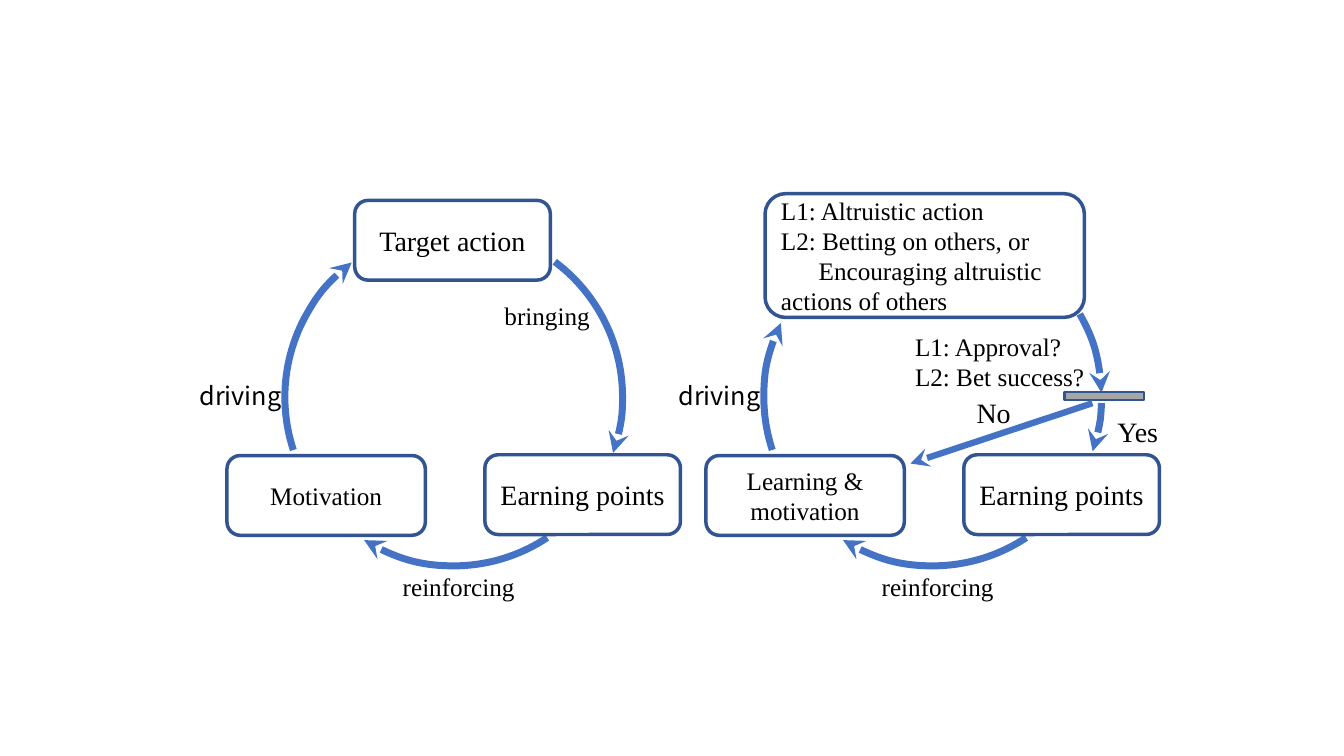
from dataclasses import dataclass

from lxml import etree
from pptx import Presentation
from pptx import util as u
from pptx.dml.color import RGBColor
from pptx.enum import shapes, text
from pptx.oxml.ns import qn

COLORS = {"arrow": "4472C4", "outline": "325491", "gate": "A6A6A6",
          "paper": "FFFFFF", "ink": "000000"}
SERIF = "Times New Roman"
SANS = "Noto Sans CJK JP"
CYCLE_STEP = 12.07  # distance between the two cycles, cm
RING_LEFT, RING_TOP, RING_SIZE = 7.18, 5.75, 8.51
CENTER, LEFT = text.PP_ALIGN.CENTER, text.PP_ALIGN.LEFT


@dataclass
class Stage:
    lines: list[str]
    left: float
    top: float
    width: float = 4.93
    height: float = 2.01
    size: int = 20
    align: text.PP_ALIGN = CENTER
    fill: str | None = None
    last_indent: float = 0


@dataclass
class Label:
    lines: list[str]
    left: float
    top: float
    width: float
    height: float = 1.02
    size: int = 18
    align: text.PP_ALIGN = LEFT
    font: str = SERIF


@dataclass
class Arc:
    start: float  # degrees, clockwise
    end: float
    rotation: int = 0
    cycle: int = 0


def rgb(name: str) -> RGBColor:
    return RGBColor.from_string(COLORS[name])


def style_line(line, color: str, width: float, arrow: bool = False) -> None:
    line.color.rgb = rgb(color)
    line.width = u.Pt(width)
    if arrow:
        ln = line._get_or_add_ln()
        etree.SubElement(ln, qn("a:tailEnd"), type="stealth")


def write_lines(frame, lines: list[str], size: int, align, font: str = SERIF) -> None:
    frame.word_wrap = True
    for i, line in enumerate(lines):
        paragraph = frame.paragraphs[0] if i == 0 else frame.add_paragraph()
        paragraph.alignment = align
        run = paragraph.add_run()
        run.text = line
        run.font.size = u.Pt(size)
        run.font.name = font
        run.font.color.rgb = rgb("ink")


def draw_shape(slide, kind, left: float, top: float, width: float, height: float,
               fill: str | None = None):
    shape = slide.shapes.add_shape(kind, u.Cm(left), u.Cm(top), u.Cm(width), u.Cm(height))
    shape.shadow.inherit = False
    if fill:
        shape.fill.solid()
        shape.fill.fore_color.rgb = rgb(fill)
    else:
        shape.fill.background()
    return shape


def draw_stage(slide, stage: Stage) -> None:
    box = draw_shape(slide, shapes.MSO_SHAPE.ROUNDED_RECTANGLE, stage.left, stage.top,
                     stage.width, stage.height, stage.fill)
    style_line(box.line, "outline", 2.5)
    frame = box.text_frame
    frame.vertical_anchor = text.MSO_ANCHOR.MIDDLE
    write_lines(frame, stage.lines, stage.size, stage.align)
    if stage.last_indent:
        properties = frame.paragraphs[-1]._p.get_or_add_pPr()
        properties.set("marL", "0")
        properties.set("indent", str(u.Cm(stage.last_indent)))


def draw_label(slide, label: Label) -> None:
    box = slide.shapes.add_textbox(u.Cm(label.left), u.Cm(label.top),
                                   u.Cm(label.width), u.Cm(label.height))
    write_lines(box.text_frame, label.lines, label.size, label.align, label.font)


def draw_arc(slide, arc: Arc) -> None:
    ring = draw_shape(slide, shapes.MSO_SHAPE.ARC, RING_LEFT + arc.cycle * CYCLE_STEP,
                      RING_TOP, RING_SIZE, RING_SIZE)
    ring.rotation = arc.rotation
    # An adjustment of 0.6 is one degree
    ring.adjustments[0] = arc.start * 0.6
    ring.adjustments[1] = arc.end * 0.6
    style_line(ring.line, "arrow", 5, arrow=True)


def draw_no_arrow(slide) -> None:
    arrow = slide.shapes.add_connector(shapes.MSO_CONNECTOR.STRAIGHT, u.Cm(27.53),
                                       u.Cm(10.16), u.Cm(22.94), u.Cm(11.68))
    style_line(arrow.line, "arrow", 4.5, arrow=True)
    etree.SubElement(arrow._element.spPr, qn("a:effectLst"))


def main() -> None:
    deck = Presentation()
    deck.slide_width, deck.slide_height = u.Cm(33.87), u.Cm(19.05)
    slide = deck.slides.add_slide(deck.slide_layouts[6])

    # Parts that both cycles share
    stages, labels, arcs = [], [], []
    for cycle, motive in enumerate(("Motivation", "Learning & motivation")):
        shift = cycle * CYCLE_STEP
        stages += [
            Stage([motive], 5.72 + shift, 11.48, width=5, size=18, fill="paper"),
            Stage(["Earning points"], 12.22 + shift, 11.46),
        ]
        labels += [
            Label(["reinforcing"], 8.64 + shift, 14.27, 5.84, align=CENTER),
            Label(["driving"], 4.78 + shift, 9.47, 3.66, font=SANS),
        ]
        arcs.append(Arc(326.4, 32.07, 90, cycle))

    # Left cycle: points drive the target action
    stages.append(Stage(["Target action"], 8.94, 5.05))
    labels.append(Label(["bringing"], 10.87, 7.44, 5.84, align=CENTER))
    arcs += [Arc(251.73, 322.86, 270), Arc(306.76, 19.32)]

    # Right cycle: altruistic action passes a gate
    stages.append(Stage(["L1: Altruistic action", "L2: Betting on others, or",
                         "Encouraging altruistic actions of others"],
                        19.28, 4.88, 8.05, 3.12, 18, LEFT, last_indent=0.95))
    labels += [
        Label(["L1: Approval?", "L2: Bet success?"], 22.81, 8.23, 5, 1.8),
        Label(["Yes"], 27.91, 10.31, 1.96, 1.12, 20),
        Label(["No"], 24.36, 9.83, 1.96, 1.12, 20),
    ]
    arcs += [Arc(251.73, 296.01, 270, 1), Arc(330.57, 358.52, 0, 1),
             Arc(272.07, 288.76, 90, 1)]

    for arc in arcs:
        draw_arc(slide, arc)
    for stage in stages:
        draw_stage(slide, stage)
    gate = draw_shape(slide, shapes.MSO_SHAPE.RECTANGLE, 26.82, 9.88, 2.01, 0.2, "gate")
    style_line(gate.line, "outline", 2)
    draw_no_arrow(slide)
    for label in labels:
        draw_label(slide, label)

    deck.save("out.pptx")


if __name__ == "__main__":
    main()
